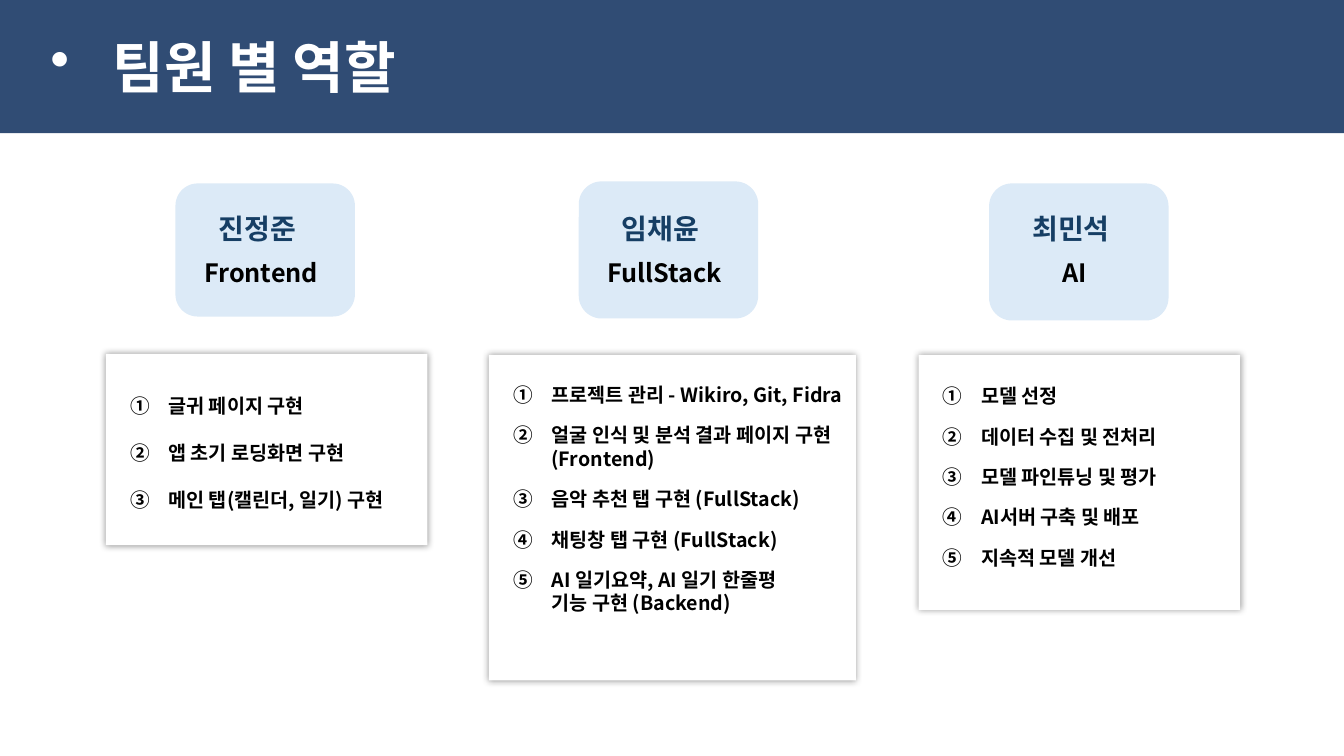
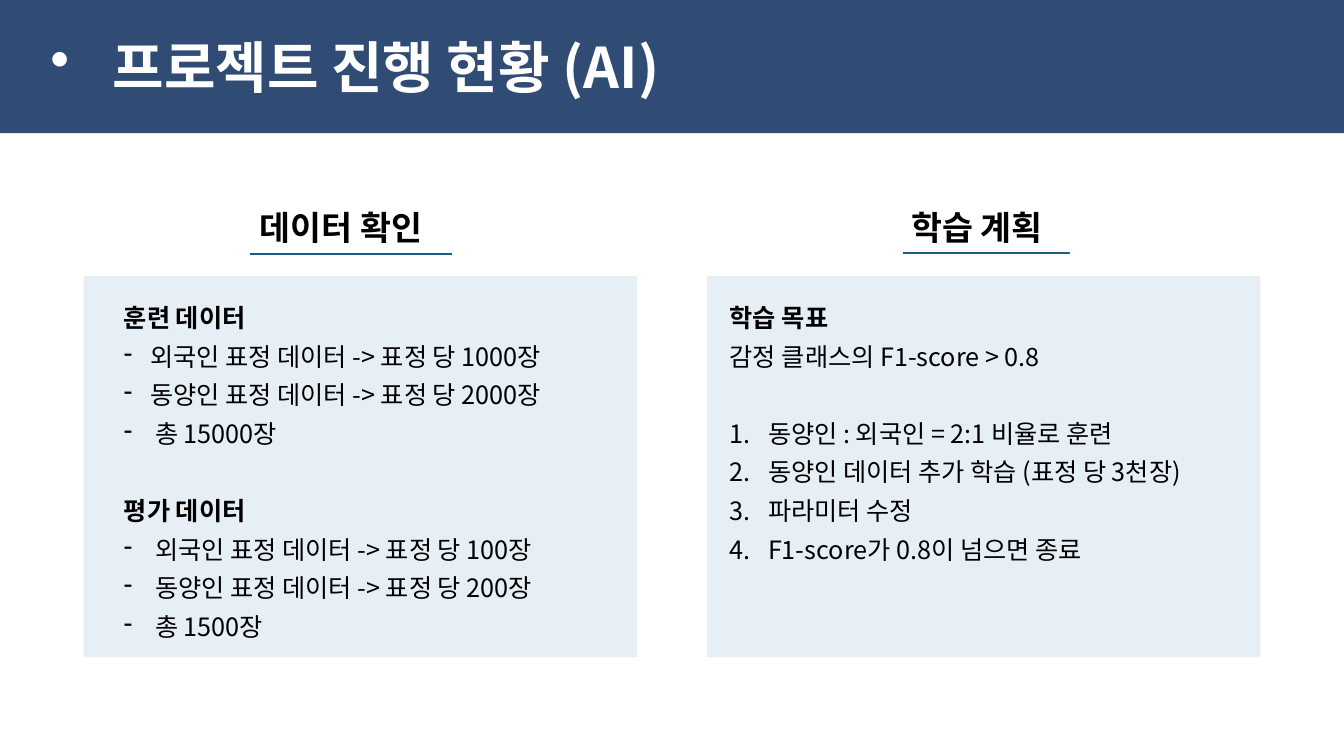
from lxml import etree
from pptx import Presentation
from pptx.dml.color import RGBColor
from pptx.enum.shapes import MSO_CONNECTOR, MSO_SHAPE
from pptx.enum.text import MSO_ANCHOR, PP_ALIGN
from pptx.oxml.ns import qn
from pptx.util import Inches, Pt

RECT, ROUND = MSO_SHAPE.RECTANGLE, MSO_SHAPE.ROUNDED_RECTANGLE
STRAIGHT = MSO_CONNECTOR.STRAIGHT
TOP, MIDDLE = MSO_ANCHOR.TOP, MSO_ANCHOR.MIDDLE
LEFT, CENTER = PP_ALIGN.LEFT, PP_ALIGN.CENTER

FONT = "Noto Sans CJK KR"
COLORS = {
    "band": "304C74", "white": "FFFFFF", "black": "000000", "badge": "DCEAF7",
    "name": "163E64", "panel": "E6EEF6", "rule": "156082",
}


def add_box(shapes, at, fill=None, kind=RECT):
    """Add a filled shape, or a plain text box when there is no fill."""
    at = [Inches(v) for v in at]
    if fill is None:
        sp = shapes.add_textbox(*at)
    else:
        sp = shapes.add_shape(kind, *at)
        sp.shadow.inherit = False
        sp.fill.solid()
        sp.fill.fore_color.rgb = RGBColor.from_string(COLORS[fill])
        sp.line.fill.background()
    sp.text_frame.word_wrap = True
    return sp


def add_text(tf, text, size, color="black", bold=True, align=LEFT, bullet=None, indent=0):
    """Write the next paragraph; bullet is a character or an autonumber type."""
    p = tf.paragraphs[0] if not tf.paragraphs[0].runs else tf.add_paragraph()
    p.alignment = align
    if bullet:
        pPr = p._p.get_or_add_pPr()
        pPr.set("marL", str(Inches(indent)))
        pPr.set("indent", str(-Inches(indent)))
        if len(bullet) == 1:
            etree.SubElement(pPr, qn("a:buChar")).set("char", bullet)
        else:
            etree.SubElement(pPr, qn("a:buAutoNum")).set("type", bullet)
    for i, line in enumerate(text.split("\n")):
        if i:
            p.add_line_break()
        r = p.add_run()
        r.text = line
        r.font.size = Pt(size)
        r.font.bold = bold
        r.font.color.rgb = RGBColor.from_string(COLORS[color])
        r.font.name = FONT
        etree.SubElement(r._r.get_or_add_rPr(), qn("a:ea")).set("typeface", FONT)
    return p


prs = Presentation()
prs.slide_width, prs.slide_height = Inches(13.33), Inches(7.5)

# Title band on every slide
slides = []
for title in ["팀원 별 역할", "프로젝트 진행 현황 (AI)"]:
    s = prs.slides.add_slide(prs.slide_layouts[6])
    add_box(s.shapes, (0, 0, 13.33, 1.32), "band")
    sp = add_box(s.shapes, (0.4, 0.27, 6.91, 0.77))
    add_text(sp.text_frame, title, 40, "white", bullet="•", indent=0.62)
    slides.append(s)
roles, progress = slides

# Slide 1: badge left, top, height; name; role
badges = [
    (1.74, 1.82, 1.32, "진정준", "Frontend"),
    (5.74, 1.8, 1.36, "임채윤", "FullStack"),
    (9.81, 1.82, 1.36, "최민석", "AI"),
]
for x, y, h, name, role in badges:
    group = roles.shapes.add_group_shape()
    add_box(group.shapes, (x, y, 1.78, h), "badge", ROUND)
    sp = add_box(group.shapes, (x + 0.33, 2.05, 1.04, 0.44))
    add_text(sp.text_frame, name, 20, "name")
    sp = add_box(group.shapes, (x + 0.18, 2.5, 1.34, 0.4))
    add_text(sp.text_frame, role, 18, align=CENTER)

# Slide 1: task cards (place, anchor, top inset, line spacing, space after, tasks)
cards = [
    ((1.05, 3.51, 3.19, 1.9), TOP, 0.16, 2.0, 0, [
        "글귀 페이지 구현",
        "앱 초기 로딩화면 구현",
        "메인 탭(캘린더, 일기) 구현",
    ]),
    ((4.85, 3.52, 3.64, 3.23), TOP, 0.28, 1.0, 12, [
        "프로젝트 관리 - Wikiro, Git, Fidra",
        "얼굴 인식 및 분석 결과 페이지 구현 (Frontend)",
        "음악 추천 탭 구현 (FullStack)",
        "채팅창 탭 구현 (FullStack)",
        "AI 일기요약, AI 일기 한줄평\n기능 구현 (Backend)",
    ]),
    ((9.11, 3.52, 3.19, 2.53), MIDDLE, 0.28, 1.0, 12, [
        "모델 선정",
        "데이터 수집 및 전처리",
        "모델 파인튜닝 및 평가",
        "AI서버 구축 및 배포",
        "지속적 모델 개선",
    ]),
]
for at, anchor, inset, spacing, after, tasks in cards:
    sp = add_box(roles.shapes, at, "white")
    # Soft shadow on all sides
    effects = sp._element.spPr.find(qn("a:effectLst"))
    shadow = etree.SubElement(effects, qn("a:outerShdw"), blurRad=str(Pt(5)), dist="0", dir="0")
    color = etree.SubElement(shadow, qn("a:srgbClr"), val=COLORS["black"])
    etree.SubElement(color, qn("a:alpha"), val="40000")
    tf = sp.text_frame
    tf.vertical_anchor = anchor
    tf.margin_left, tf.margin_right = Inches(0.24), Inches(0.12)
    tf.margin_top, tf.margin_bottom = Inches(inset), Inches(0.39)
    for task in tasks:
        p = add_text(tf, task, 14, bullet="circleNumDbPlain", indent=0.38)
        p.line_spacing = spacing
        p.space_after = Pt(after)

# Slide 2: panels; each line is (text, bullet, indent), headings have no bullet
# and "gap" sets a block apart
GAP = 33.5
panels = [
    (0.83, 1.13, 4.89, "데이터 확인", 2.48, 2.0, (2.48, 4.48, 2.52), [
        ("훈련 데이터", True, None, 0, 0),
        ("외국인 표정 데이터 -> 표정 당 1000장", False, "-", 0.26, 6),
        ("동양인 표정 데이터 -> 표정 당 2000장", False, "-", 0.26, 6),
        ("총 15000장", False, "-", 0.31, 6),
        ("평가 데이터", True, None, 0, GAP),
        ("외국인 표정 데이터 -> 표정 당 100장", False, "-", 0.31, 6),
        ("동양인 표정 데이터 -> 표정 당 200장", False, "-", 0.31, 6),
        ("총 1500장", False, "-", 0.31, 6),
    ]),
    (7.01, 7.14, 5.36, "학습 계획", 8.94, 1.67, (8.96, 10.61, 2.51), [
        ("학습 목표", True, None, 0, 0),
        ("감정 클래스의 F1-score > 0.8", False, None, 0, 6),
        ("동양인 : 외국인 = 2:1 비율로 훈련", False, "arabicPeriod", 0.38, GAP),
        ("동양인 데이터 추가 학습 (표정 당 3천장)", False, "arabicPeriod", 0.38, 6),
        ("파라미터 수정", False, "arabicPeriod", 0.38, 6),
        ("F1-score가 0.8이 넘으면 종료", False, "arabicPeriod", 0.38, 6),
    ]),
]
for x, text_x, text_w, heading, head_x, head_w, (x1, x2, rule_y), lines in panels:
    add_box(progress.shapes, (x, 2.74, 5.49, 3.78), "panel")

    # Underlined heading
    sp = add_box(progress.shapes, (head_x, 2, head_w, 0.5))
    add_text(sp.text_frame, heading, 24)
    rule = progress.shapes.add_connector(
        STRAIGHT, Inches(x1), Inches(rule_y), Inches(x2), Inches(rule_y))
    rule.line.color.rgb = RGBColor.from_string(COLORS["rule"])
    rule.line.width = Pt(1.5)
    etree.SubElement(rule._element.spPr, qn("a:effectLst"))

    # Panel text
    sp = add_box(progress.shapes, (text_x, 2.95, text_w, 3.5))
    for text, bold, bullet, indent, before in lines:
        p = add_text(sp.text_frame, text, 18, bold=bold, bullet=bullet, indent=indent)
        p.space_before = Pt(before)

prs.save("out.pptx")
